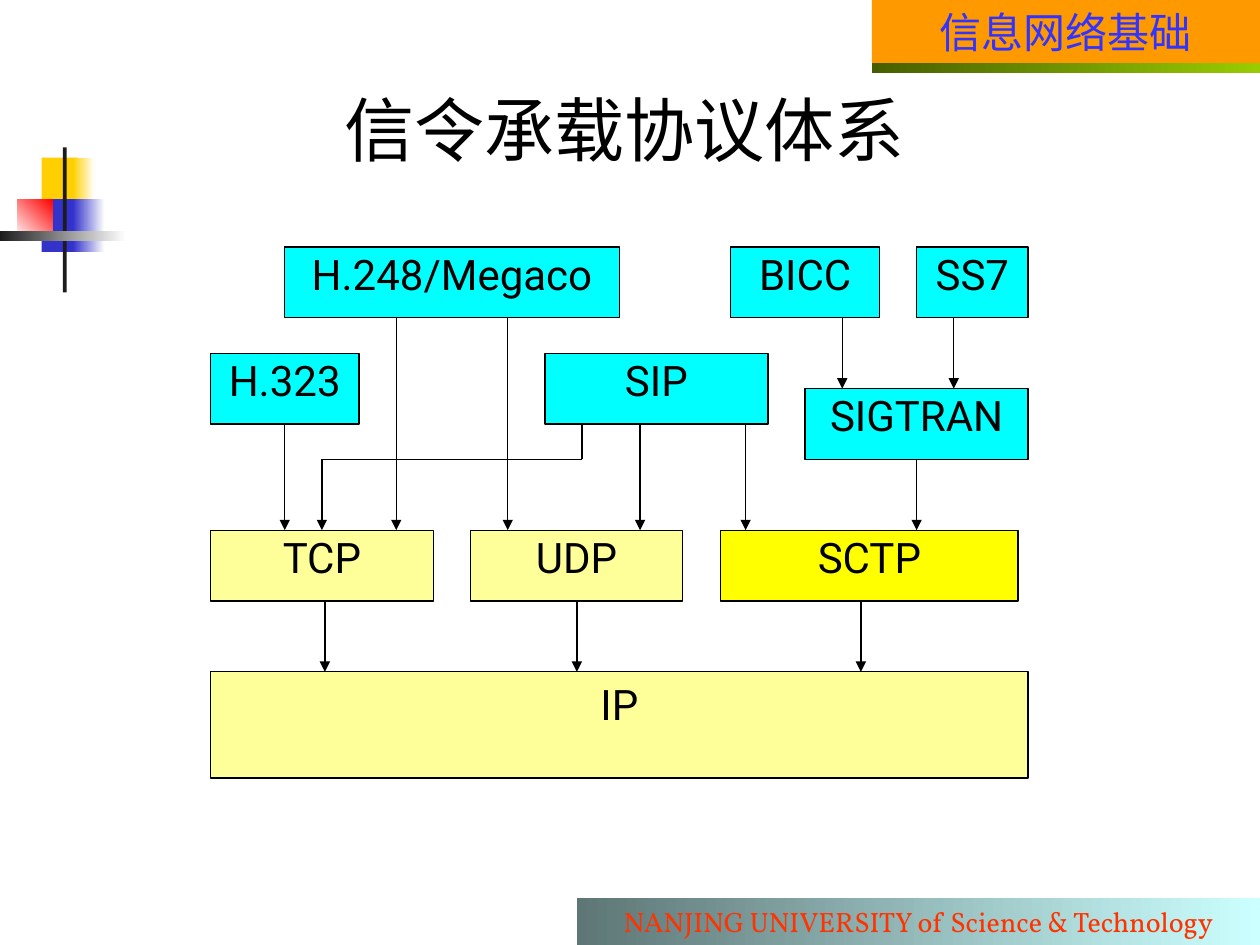
import pptx
import pptx.util
import pptx.dml.color
import pptx.enum.shapes
import pptx.enum.text
import pptx.oxml.ns
from lxml import etree

Inch = pptx.util.Inches
Pt = pptx.util.Pt
qn = pptx.oxml.ns.qn

# Diagram grid: origin and cell size in inches
LEFT, TOP = 1.67, 1.96
COL, ROW = 0.295, 0.281

CYAN, CREAM, YELLOW = "00FFFF", "FFFF99", "FFFF00"
BLACK, WHITE = "000000", "FFFFFF"
CJK = "Noto Sans CJK SC"


def color(code):
    return pptx.dml.color.RGBColor.from_string(code)


def grid(col, row):
    return Inch(LEFT + col * COL), Inch(TOP + row * ROW)


def write(frame, text, size, font, ink, east=CJK, pad=(0.1, 0.05)):
    """Put one centred line of text in a frame."""
    frame.word_wrap = True
    frame.auto_size = pptx.enum.text.MSO_AUTO_SIZE.NONE
    frame.margin_left = frame.margin_right = Inch(pad[0])
    frame.margin_top = frame.margin_bottom = Inch(pad[1])
    para = frame.paragraphs[0]
    para.text = text
    para.alignment = pptx.enum.text.PP_ALIGN.CENTER
    para.font.size = Pt(size)
    para.font.name = font
    para.font.color.rgb = color(ink)
    props = para._p.pPr.find(qn("a:defRPr"))
    etree.SubElement(props, qn("a:ea")).set("typeface", east)


def rect(slide, place, fill, angle=0):
    """Draw a plain rectangle; a pair of colours makes a gradient."""
    shape = slide.shapes.add_shape(
        pptx.enum.shapes.MSO_SHAPE.RECTANGLE, *place)
    shape.shadow.inherit = False
    shape.line.fill.background()
    if isinstance(fill, tuple):
        shape.fill.gradient()
        shape.fill.gradient_angle = angle
        for stop, code in zip(shape.fill.gradient_stops, fill):
            stop.color.rgb = color(code)
    else:
        shape.fill.solid()
        shape.fill.fore_color.rgb = color(fill)
    shape.text_frame.vertical_anchor = pptx.enum.text.MSO_ANCHOR.TOP
    return shape


def block(slide, text, col, row, wide, fill, high=2, pad=(0.02, 0.01)):
    """Draw an outlined protocol box on the grid."""
    place = (*grid(col, row), Inch(wide * COL), Inch(high * ROW))
    shape = rect(slide, place, fill)
    shape.line.color.rgb = color(BLACK)
    shape.line.width = Pt(0.75)
    write(shape.text_frame, text, 24, "Roboto", BLACK, pad=pad)


def link(slide, start, end, arrow=True):
    """Join two grid points."""
    line = slide.shapes.add_connector(
        pptx.enum.shapes.MSO_CONNECTOR.STRAIGHT, *grid(*start), *grid(*end))
    line.line.color.rgb = color(BLACK)
    line.line.width = Pt(0.75)
    if arrow:
        tail = etree.SubElement(line.line._get_or_add_ln(), qn("a:tailEnd"))
        tail.set("type", "triangle")
    etree.SubElement(line._element.spPr, qn("a:effectLst"))


def decor(slide):
    """Draw the coloured squares and the crossing bars."""
    for left, top, wide, high, fill, angle in (
            (0.33, 1.25, 0.29, 0.38, "FFCF01", 0),
            (0.58, 1.25, 0.17, 0.42, ("FFCF01", WHITE), 0),
            (0.33, 1.58, 0.25, 0.42, "3333CC", 0),
            (0.58, 1.58, 0.25, 0.42, ("3333CC", WHITE), 0),
            (0.14, 1.58, 0.28, 0.33, (WHITE, "FF0000"), 45),
            (0.5, 1.17, 0.03, 1.15, "1C1C1C", 0),
            (0, 1.83, 1, 0.08, ("1C1C1C", WHITE), 0)):
        rect(slide, map(Inch, (left, top, wide, high)), fill, angle)


def bands(slide):
    """Draw the course banner and the school footer."""
    head = rect(slide, map(Inch, (6.92, 0, 3.08, 0.5)), "FF9900")
    write(head.text_frame, "信息网络基础", 24, "Roboto", "3333FF")
    foot = rect(slide, map(Inch, (4.58, 7.13, 5.42, 0.37)),
                ("5E7676", "CCFFFF"))
    write(foot.text_frame, "NANJING UNIVERSITY of Science & Technology",
          16, "Vollkorn", "FF3300")
    rect(slide, map(Inch, (6.92, 0.5, 3.08, 0.08)), ("475E00", "99CC00"))


def heading(slide):
    title = slide.shapes.title
    title.left, title.top, title.width, title.height = map(
        Inch, (1.04, 0.52, 7.83, 1))
    title.text_frame.vertical_anchor = pptx.enum.text.MSO_ANCHOR.MIDDLE
    write(title.text_frame, "信令承载协议体系", 40, CJK, BLACK)


def stack(slide):
    """Draw the protocol boxes and the arrows between them."""
    for text, col, row, wide, fill in (
            # Signalling
            ("H.248/Megaco", 2, 0, 9, CYAN),
            ("BICC", 14, 0, 4, CYAN),
            ("SS7", 19, 0, 3, CYAN),
            ("H.323", 0, 3, 4, CYAN),
            ("SIP", 9, 3, 6, CYAN),
            ("SIGTRAN", 16, 4, 6, CYAN),
            # Transport
            ("TCP", 0, 8, 6, CREAM),
            ("UDP", 7, 8, 5.7, CREAM),
            ("SCTP", 13.73, 8, 8, YELLOW)):
        block(slide, text, col, row, wide, fill)
    # Network
    block(slide, "IP", 0, 12, 22, CREAM, high=3, pad=(0.1, 0.05))

    # Straight arrows, by the rows that they span
    for top, base, cols in (
            (2, 4, (17, 20)),
            (2, 8, (5, 8)),
            (5, 8, (2, 11.56, 14.4)),
            (6, 8, (19,)),
            (10, 12, (3.08, 9.86, 17.5))):
        for col in cols:
            link(slide, (col, top), (col, base))

    # Bent arrow from SIP to TCP
    bend = [(10, 5), (10, 6), (3, 6), (3, 8)]
    for start, end in zip(bend, bend[1:]):
        link(slide, start, end, arrow=end == bend[-1])


def main():
    deck = pptx.Presentation()
    deck.slide_width, deck.slide_height = Inch(10), Inch(7.5)
    slide = deck.slides.add_slide(deck.slide_layouts[5])
    decor(slide)
    bands(slide)
    heading(slide)
    stack(slide)
    deck.save("out.pptx")


if __name__ == "__main__":
    main()
